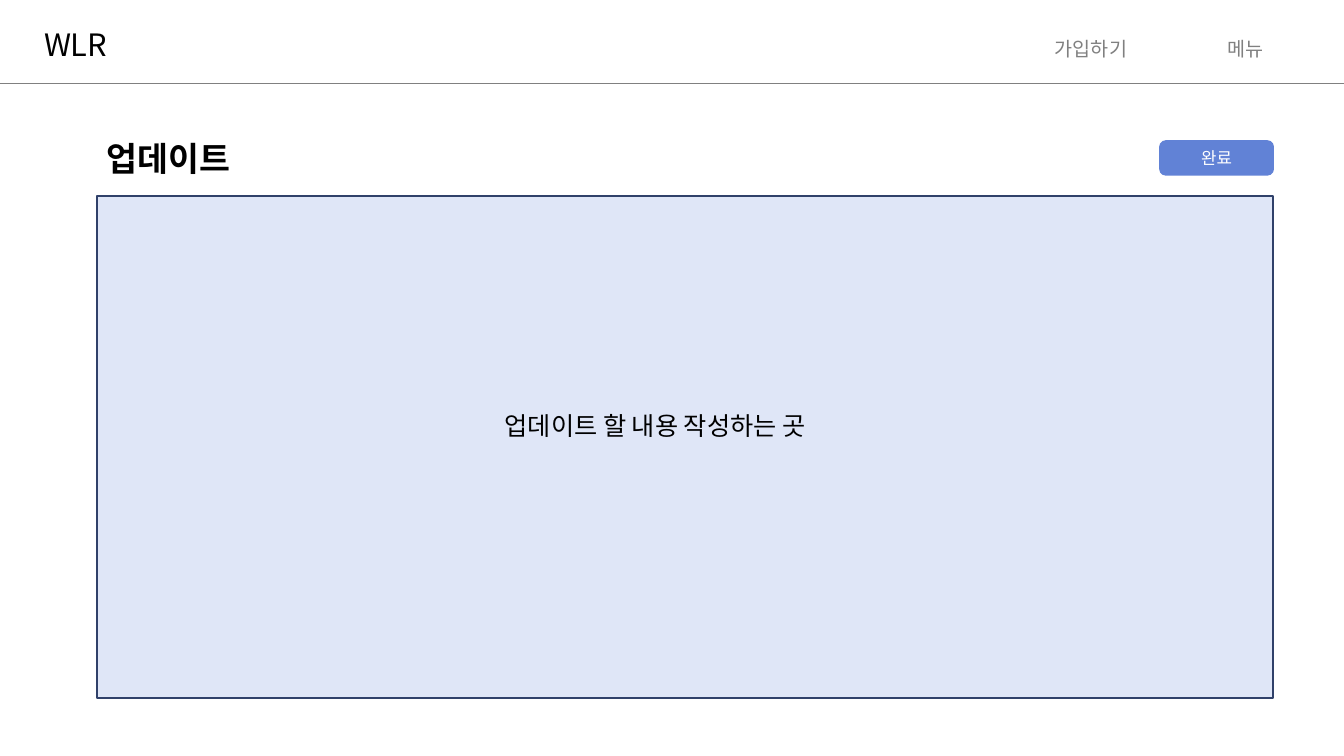
from lxml import etree
from pptx import Presentation
from pptx.dml.color import RGBColor
from pptx.enum.shapes import MSO_CONNECTOR, MSO_SHAPE
from pptx.enum.text import MSO_ANCHOR, PP_ALIGN
from pptx.oxml.ns import qn
from pptx.util import Cm, Pt

LEFT, CENTER = PP_ALIGN.LEFT, PP_ALIGN.CENTER
TOP, MIDDLE = MSO_ANCHOR.TOP, MSO_ANCHOR.MIDDLE
RECT, ROUNDED = MSO_SHAPE.RECTANGLE, MSO_SHAPE.ROUNDED_RECTANGLE
STRAIGHT = MSO_CONNECTOR.STRAIGHT

# Content
SITE_NAME = "WLR"
MENU = ["가입하기", "메뉴"]
TITLE = "업데이트"
PROMPT = "업데이트 할 내용 작성하는 곳"
BUTTON = "완료"

THEME = {
    "black": "000000", "grey": "808080", "white": "FFFFFF",
    "panel": "DFE6F7", "panel_line": "30416A", "button": "6182D6",
    "latin": "Calibri", "korean": "Noto Sans CJK KR",
    "site": 22, "menu": 14, "title": 24, "prompt": 18, "label": 12,
    "rule": 0.75, "outline": 1.5,
}

# Layout in centimetres: left, top, width, height
SLIDE_W, SLIDE_H = 33.87, 19.05
RULE_Y = 2.11
MENU_X, MENU_Y, MENU_W, MENU_H, MENU_STEP = 26.11, 0.81, 2.77, 0.81, 3.89
PANEL = (2.44, 4.93, 29.64, 12.65)
BUTTON_W, BUTTON_H, BUTTON_Y = 2.84, 0.84, 3.56
button_box = (PANEL[0] + PANEL[2] - BUTTON_W, BUTTON_Y, BUTTON_W, BUTTON_H)


def rgb(name):
    return RGBColor.from_string(THEME[name])


def write(sp, text, size, color, align=LEFT, anchor=TOP, bold=False, font="latin"):
    tf = sp.text_frame
    tf.word_wrap = True
    tf.vertical_anchor = anchor
    p = tf.paragraphs[0]
    p.alignment = align
    r = p.add_run()
    r.text = text
    formats = {"name": THEME[font], "size": Pt(THEME[size]), "bold": bold}
    for key, value in formats.items():
        setattr(r.font, key, value)
    r.font.color.rgb = rgb(color)
    ea = etree.SubElement(r.font._element, qn("a:ea"))
    ea.set("typeface", THEME["korean"])


def add_text(s, box, *args, **formats):
    write(s.shapes.add_textbox(*map(Cm, box)), *args, **formats)


def add_box(s, kind, box, fill, line):
    sp = s.shapes.add_shape(kind, *map(Cm, box))
    sp.shadow.inherit = False
    sp.fill.solid()
    sp.fill.fore_color.rgb = rgb(fill)
    sp.line.color.rgb = rgb(line)
    sp.line.width = Pt(THEME["outline"])
    return sp


def add_rule(s):
    """Draw the line under the page header."""
    rule = s.shapes.add_connector(STRAIGHT, 0, Cm(RULE_Y), Cm(SLIDE_W), Cm(RULE_Y))
    rule.line.color.rgb = rgb("grey")
    rule.line.width = Pt(THEME["rule"])
    etree.SubElement(rule._element.spPr, qn("a:effectLst"))


def main():
    prs = Presentation()
    prs.slide_width, prs.slide_height = Cm(SLIDE_W), Cm(SLIDE_H)
    s = prs.slides.add_slide(prs.slide_layouts[6])

    add_text(s, (0.86, 0.53, 2.69, 1.17), SITE_NAME, "site", "black", font="korean")
    add_rule(s)
    for i, item in enumerate(MENU):
        box = (MENU_X + i * MENU_STEP, MENU_Y, MENU_W, MENU_H)
        add_text(s, box, item, "menu", "grey", align=CENTER)

    add_text(s, (PANEL[0], 3.35, 4.29, 1.24), TITLE, "title", "black", bold=True)
    add_box(s, RECT, PANEL, "panel", "panel_line")
    add_text(s, (12.47, 10.21, 9.58, 1.02), PROMPT, "prompt", "black")

    button = add_box(s, ROUNDED, button_box, "button", "button")
    write(button, BUTTON, "label", "white", align=CENTER, anchor=MIDDLE)

    prs.save("out.pptx")


if __name__ == "__main__":
    main()
